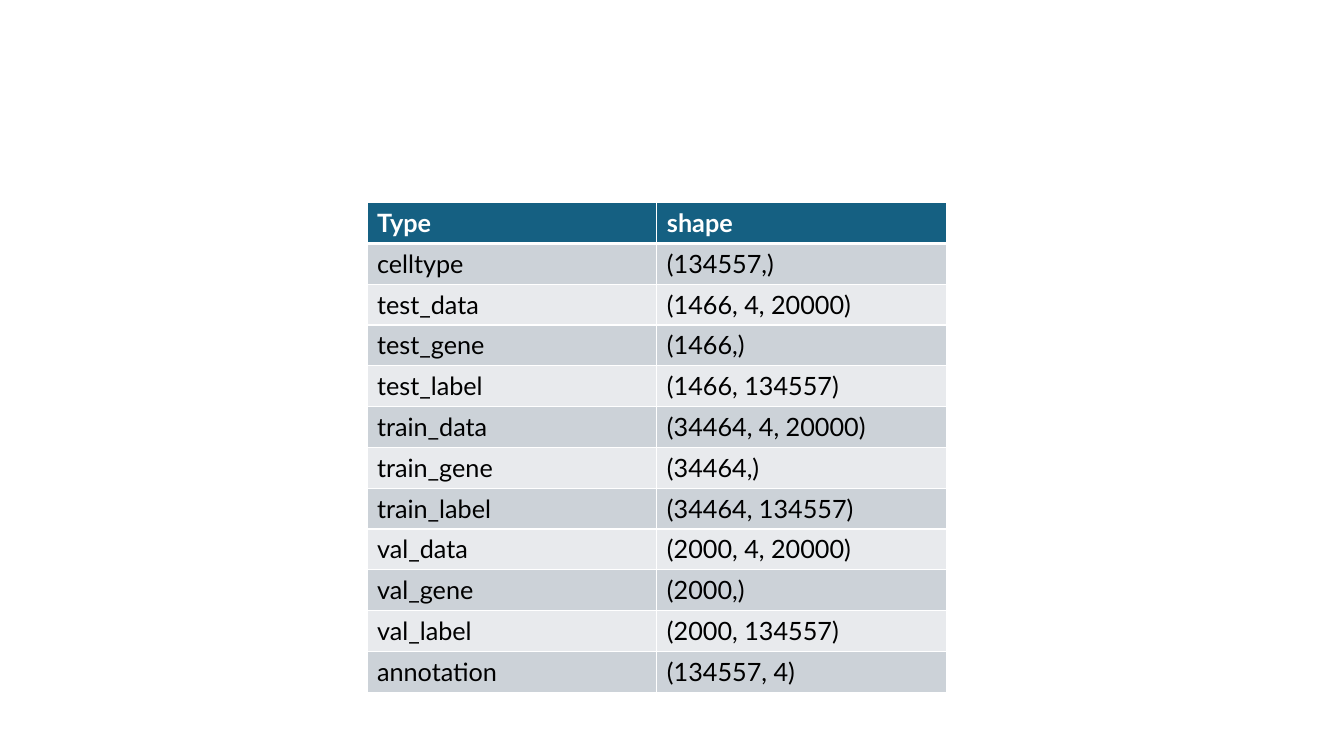
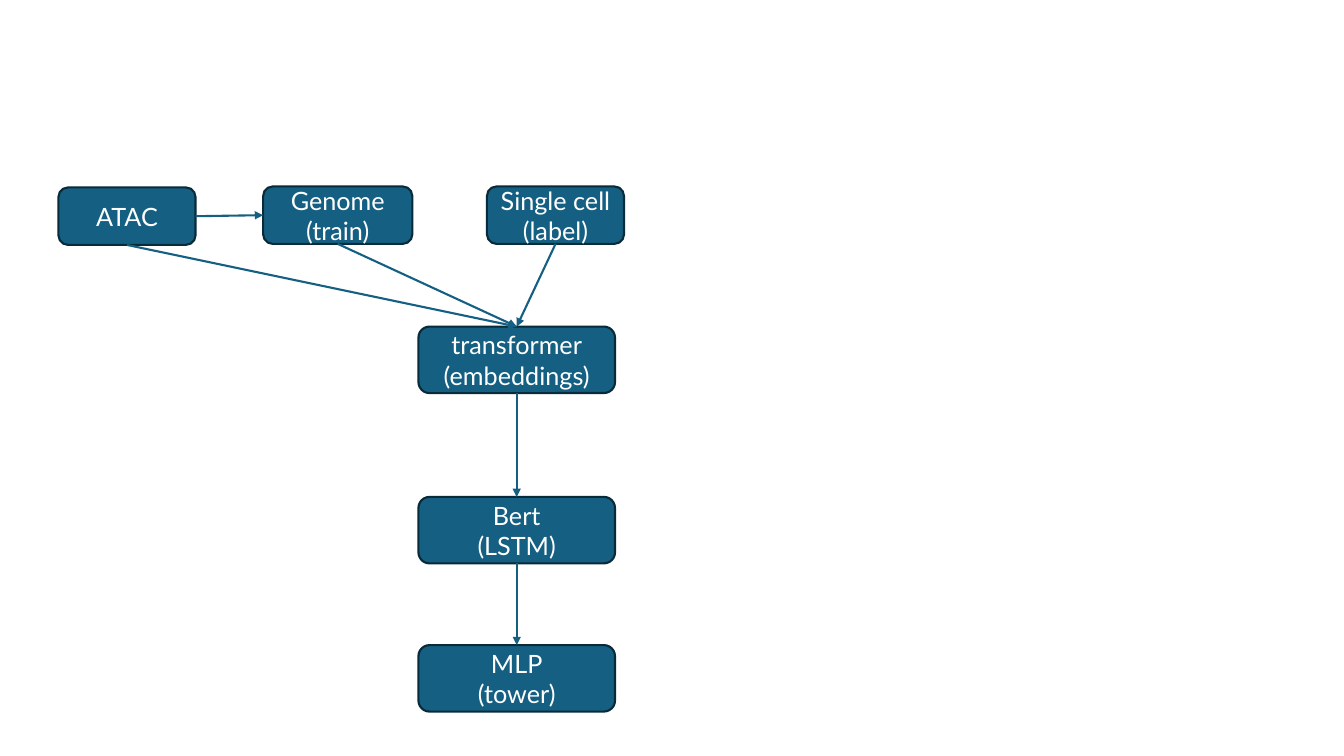
from pptx import Presentation
from pptx.dml.color import RGBColor
from pptx.enum.shapes import MSO_CONNECTOR, MSO_SHAPE
from pptx.enum.text import MSO_ANCHOR, PP_ALIGN
from pptx.oxml.ns import qn
from pptx.util import Inches, Pt
from lxml import etree

ROUNDED = MSO_SHAPE.ROUNDED_RECTANGLE
STRAIGHT = MSO_CONNECTOR.STRAIGHT
MIDDLE = MSO_ANCHOR.MIDDLE
LEFT, CENTER = PP_ALIGN.LEFT, PP_ALIGN.CENTER

TEAL = RGBColor(0x15, 0x60, 0x82)
NAVY = RGBColor(0x09, 0x2A, 0x39)
WHITE = RGBColor(0xFF, 0xFF, 0xFF)
BLACK = RGBColor(0x00, 0x00, 0x00)
BANDS = (RGBColor(0xCC, 0xD2, 0xD8), RGBColor(0xE8, 0xEA, 0xED))

BODY = {"name": "Lato", "size": Pt(18), "bold": False}
HEADER = {**BODY, "bold": True}
LINE_WIDTH = Pt(1.5)
TOP, SIDE, BOTTOM, END = range(4)

ROWS = [
    ("Type", "shape"),
    ("celltype", "(134557,)"),
    ("test_data", "(1466, 4, 20000)"),
    ("test_gene", "(1466,)"),
    ("test_label", "(1466, 134557)"),
    ("train_data", "(34464, 4, 20000)"),
    ("train_gene", "(34464,)"),
    ("train_label", "(34464, 134557)"),
    ("val_data", "(2000, 4, 20000)"),
    ("val_gene", "(2000,)"),
    ("val_label", "(2000, 134557)"),
    ("annotation", "(134557, 4)"),
]

BOXES = {
    "transformer": ("transformer\n(embeddings)", 4.15, 3.24, 1.95, 0.66),
    "bert": ("Bert\n(LSTM)", 4.15, 4.93, 1.95, 0.66),
    "mlp": ("MLP\n(tower)", 4.15, 6.4, 1.95, 0.66),
    "genome": ("Genome\n(train)", 2.61, 1.85, 1.48, 0.57),
    "cell": ("Single cell\n(label)", 4.83, 1.85, 1.36, 0.57),
    "atac": ("ATAC", 0.58, 1.86, 1.36, 0.57),
}

ARROWS = [
    ("transformer", BOTTOM, "bert", TOP),
    ("bert", BOTTOM, "mlp", TOP),
    ("genome", BOTTOM, "transformer", TOP),
    ("cell", BOTTOM, "transformer", TOP),
    ("atac", BOTTOM, "transformer", TOP),
    ("atac", END, "genome", SIDE),
]


def set_text(tf, text, fmt, color, align):
    tf.text = text
    for p in tf.paragraphs:
        p.alignment = align
        for r in p.runs:
            for name, value in fmt.items():
                setattr(r.font, name, value)
            r.font.color.rgb = color


def set_fill(target, color):
    target.fill.solid()
    target.fill.fore_color.rgb = color


def set_borders(cell, widths):
    tcPr = cell._tc.get_or_add_tcPr()
    for side, width in widths.items():
        ln = etree.SubElement(tcPr, qn(f"a:ln{side}"), w=str(Pt(width)))
        fill = etree.SubElement(ln, qn("a:solidFill"))
        etree.SubElement(fill, qn("a:srgbClr"), val=str(WHITE))


def add_table(slide, rows, left, top, width, height):
    frame = slide.shapes.add_table(
        len(rows), len(rows[0]), Inches(left), Inches(top), Inches(width), Inches(height)
    )
    for i, row in enumerate(rows):
        header = i == 0
        widths = {"L": 1, "R": 1, "T": 3 if i == 1 else 1, "B": 3 if header else 1}
        for j, text in enumerate(row):
            cell = frame.table.cell(i, j)
            set_borders(cell, widths)
            set_fill(cell, TEAL if header else BANDS[(i - 1) % 2])
            set_text(cell.text_frame, text, HEADER if header else BODY,
                     WHITE if header else BLACK, LEFT)


def add_box(slide, text, left, top, width, height):
    sp = slide.shapes.add_shape(
        ROUNDED, Inches(left), Inches(top), Inches(width), Inches(height)
    )
    sp.shadow.inherit = False
    set_fill(sp, TEAL)
    sp.line.color.rgb = NAVY
    sp.line.width = LINE_WIDTH
    tf = sp.text_frame
    tf.word_wrap = True
    tf.vertical_anchor = MIDDLE
    set_text(tf, text, BODY, WHITE, CENTER)
    return sp


def add_arrow(slide, source, source_site, target, target_site):
    cx = slide.shapes.add_connector(STRAIGHT, 0, 0, 0, 0)
    cx.begin_connect(source, source_site)
    cx.end_connect(target, target_site)
    cx.line.color.rgb = TEAL
    cx.line.width = LINE_WIDTH
    etree.SubElement(cx.line._get_or_add_ln(), qn("a:tailEnd"), type="triangle")
    etree.SubElement(cx._element.spPr, qn("a:effectLst"))


def build_shapes_table(slide):
    add_table(slide, ROWS, 3.64, 2.01, 5.75, 4.86)


def build_model_flow(slide):
    boxes = {key: add_box(slide, *box) for key, box in BOXES.items()}
    for source, source_site, target, target_site in ARROWS:
        add_arrow(slide, boxes[source], source_site, boxes[target], target_site)


def main():
    prs = Presentation()
    prs.slide_width, prs.slide_height = Inches(13.33), Inches(7.5)
    blank = prs.slide_layouts[6]
    for build in (build_shapes_table, build_model_flow):
        build(prs.slides.add_slide(blank))
    prs.save("out.pptx")


if __name__ == "__main__":
    main()
